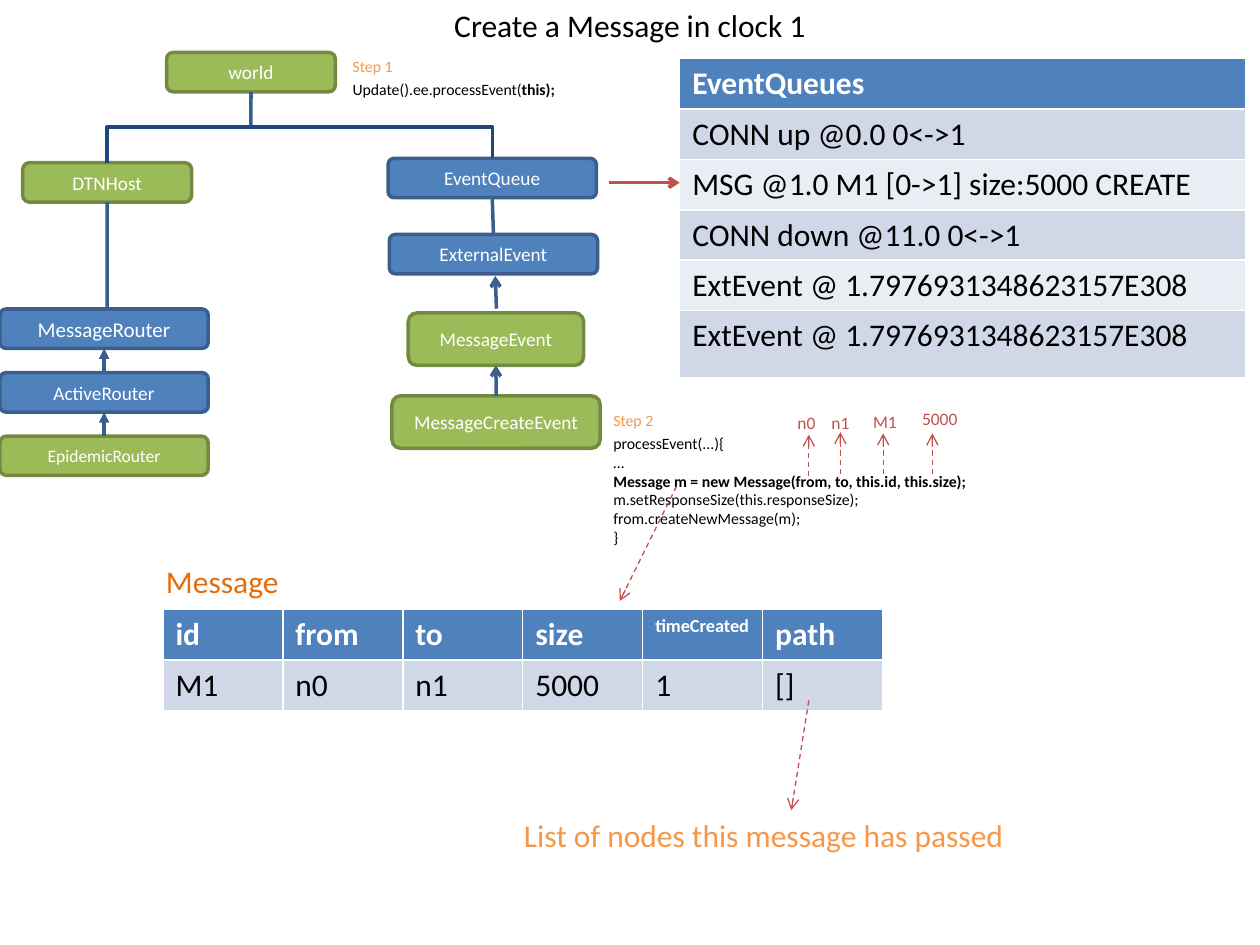
"""Build the slide that traces message creation at clock 1."""
from lxml.etree import SubElement
from pptx import Presentation
from pptx.dml.color import RGBColor
from pptx.enum.dml import MSO_LINE
from pptx.enum.shapes import MSO_CONNECTOR, MSO_SHAPE
from pptx.enum.text import MSO_ANCHOR, MSO_AUTO_SIZE, PP_ALIGN
from pptx.oxml.ns import qn
from pptx.util import Pt

COLORS = {
    "blue": "4F81BD", "blue_line": "3A5F8C", "navy": "1F497D",
    "green": "9BBB59", "green_line": "738A42", "red": "C0504D",
    "orange": "F79646", "dark_orange": "E46C0A",
    "band": "D0D8E8", "light_band": "E9EDF4",
    "white": "FFFFFF", "black": "000000",
}


def rgb(name):
    return RGBColor.from_string(COLORS[name])


def write(p, text, size=9, color="black", bold=False, align=None):
    r = p.add_run()
    r.text = text
    r.font.name = "Calibri"
    r.font.size = Pt(size)
    r.font.bold = bold
    r.font.color.rgb = rgb(color)
    if align is not None:
        p.alignment = align


class Diagram:
    def __init__(self, slide):
        self.s = slide

    def title(self, text, x, y, w, h):
        sp = self.s.shapes.title
        sp.left, sp.top, sp.width, sp.height = Pt(x), Pt(y), Pt(w), Pt(h)
        tf = sp.text_frame
        tf.vertical_anchor = MSO_ANCHOR.TOP
        write(tf.paragraphs[0], text, 18, align=PP_ALIGN.CENTER)

    def box(self, text, x, y, w, h, fill="blue", size=11):
        sp = self.s.shapes.add_shape(MSO_SHAPE.ROUNDED_RECTANGLE, Pt(x), Pt(y), Pt(w), Pt(h))
        sp.shadow.inherit = False
        sp.fill.solid()
        sp.fill.fore_color.rgb = rgb(fill)
        sp.line.color.rgb = rgb(fill + "_line")
        sp.line.width = Pt(2)
        tf = sp.text_frame
        tf.vertical_anchor = MSO_ANCHOR.MIDDLE
        write(tf.paragraphs[0], text, size, "white", align=PP_ALIGN.CENTER)
        return sp

    def label(self, lines, x, y, w, h, size=9, color="black", bold_line=None):
        tf = self.s.shapes.add_textbox(Pt(x), Pt(y), Pt(w), Pt(h)).text_frame
        tf.word_wrap = False
        tf.auto_size = MSO_AUTO_SIZE.SHAPE_TO_FIT_TEXT
        for i, line in enumerate(lines):
            p = tf.add_paragraph() if i else tf.paragraphs[0]
            write(p, line, size, color, i == bold_line)
        return p

    def line(self, start=(0, 0), end=(0, 0), color="blue_line", head=None,
             dashed=False, bent=False, begin=None, finish=None):
        kind = MSO_CONNECTOR.ELBOW if bent else MSO_CONNECTOR.STRAIGHT
        c = self.s.shapes.add_connector(kind, *(Pt(v) for v in (*start, *end)))
        if bent:
            c._element.spPr.find(qn("a:prstGeom")).set("prst", "bentConnector2")
        if begin:
            c.begin_connect(*begin)
        if finish:
            c.end_connect(*finish)
        c.line.color.rgb = rgb(color)
        c.line.width = Pt(0.75 if dashed else 2)
        if dashed:
            c.line.dash_style = MSO_LINE.DASH
        if head:
            SubElement(c.line._get_or_add_ln(), qn("a:tailEnd"), type=head)
        SubElement(c._element.spPr, qn("a:effectLst"))

    def table(self, rows, x, y, w, heights, small=()):
        shape = self.s.shapes.add_table(len(rows), len(rows[0]), Pt(x), Pt(y), Pt(w), Pt(sum(heights)))
        for i, (row, height) in enumerate(zip(rows, heights)):
            shape.table.rows[i].height = Pt(height)
            for j, text in enumerate(row):
                cell = shape.table.cell(i, j)
                cell.fill.solid()
                fill = ("band" if i % 2 else "light_band") if i else "blue"
                cell.fill.fore_color.rgb = rgb(fill)
                write(cell.text_frame.paragraphs[0], text, 10.5 if text in small else 18,
                      "black" if i else "white", i == 0)


def main():
    prs = Presentation()
    prs.slide_width, prs.slide_height = Pt(720), Pt(540)
    d = Diagram(prs.slides.add_slide(prs.slide_layouts[5]))
    d.title("Create a Message in clock 1", 36, 0, 648, 62.6)

    world = d.box("world", 95.2, 30, 96.5, 22.5, "green")
    host = d.box("DTNHost", 13, 93, 96.5, 22.5, "green")
    queue = d.box("EventQueue", 221.8, 90.5, 119, 22.5)
    external = d.box("ExternalEvent", 222.5, 134, 119, 22.5)
    message_event = d.box("MessageEvent", 233.3, 178.8, 100.2, 30, "green")
    create_event = d.box("MessageCreateEvent", 224, 226.2, 119, 30, "green")
    router = d.box("MessageRouter", 0, 176.6, 119, 22.5, size=12)
    active = d.box("ActiveRouter", 0, 213, 119, 22.5)
    epidemic = d.box("EpidemicRouter", 0, 249.2, 119, 22.5, "green", 10)
    for sp in (queue, external, router, active):
        sp.adjustments[0] = 0.15

    d.line(end=(143.4, 72.7), begin=(world, 2))
    d.line((143.4, 72.7), (61.2, 93), "navy", bent=True)
    d.line((63.4, 72.7), (281.5, 90.5), "navy", bent=True)
    d.line(end=(61.2, 176.6), begin=(host, 2))
    d.line(begin=(queue, 2), finish=(external, 0))
    d.line((283.7, 176.4), (283, 157.7), head="arrow")
    for child, parent, head in ((create_event, message_event, "arrow"),
                                (active, router, "triangle"),
                                (epidemic, active, "triangle")):
        d.line(begin=(child, 0), finish=(parent, 2), head=head)

    d.label(["Step 1"], 194.4, 28.8, 37.4, 18, color="orange")
    p = d.label(["Update().ee.processEvent("], 194.4, 41.8, 132.5, 18)
    write(p, "this);", bold=True)
    d.label(["Step 2"], 343.4, 231.1, 37.4, 18, color="orange")
    d.label(["processEvent(...){", "…",
             "Message m = new Message(from, to, this.id, this.size);",
             "m.setResponseSize(this.responseSize);",
             "from.createNewMessage(m);", "}"], 343.4, 244.1, 218.9, 72.7, bold_line=2)

    d.table([["EventQueues"], ["CONN up @0.0 0<->1"],
             ["MSG @1.0 M1 [0->1] size:5000 CREATE"],
             ["CONN down @11.0 0<->1"],
             *[["ExtEvent @ 1.7976931348623157E308"]] * 2],
            388.4, 33.4, 323.3, [26.6] * 5 + [38.2])
    d.line((347.8, 104.4), (388.4, 104.4), "red", "arrow")

    for text, x, y, w, arrow_x, bottom, top in (
            ("n0", 448.6, 231.8, 25.2, 462.2, 272.2, 248.4),
            ("n1", 468, 231.8, 25.2, 480.2, 270.7, 247),
            ("M1", 491.8, 231.1, 28.1, 504.7, 270.7, 247.7),
            ("5000", 519.8, 229.7, 35.3, 532.8, 270.7, 247.7)):
        d.label([text], x, y, w, 19.4, 10, "red")
        d.line((arrow_x, bottom), (arrow_x, top), "red", "arrow", dashed=True)

    d.label(["Message"], 87.8, 317.5, 79.2, 29, 18, "dark_orange")
    d.table([["id", "from", "to", "size", "timeCreated", "path"],
             ["M1", "n0", "n1", "5000", "1", "[]"]],
            93.1, 348, 411.4, [29.2] * 2, small=("timeCreated",))
    d.label(["List of nodes this message has passed"], 292.3, 463, 291.6, 29, 18, "orange")
    d.line((386.6, 277.9), (354.2, 343.4), "red", "arrow", dashed=True)
    d.line((462.2, 400.3), (452.2, 463), "red", "arrow", dashed=True)
    prs.save("out.pptx")


if __name__ == "__main__":
    main()
